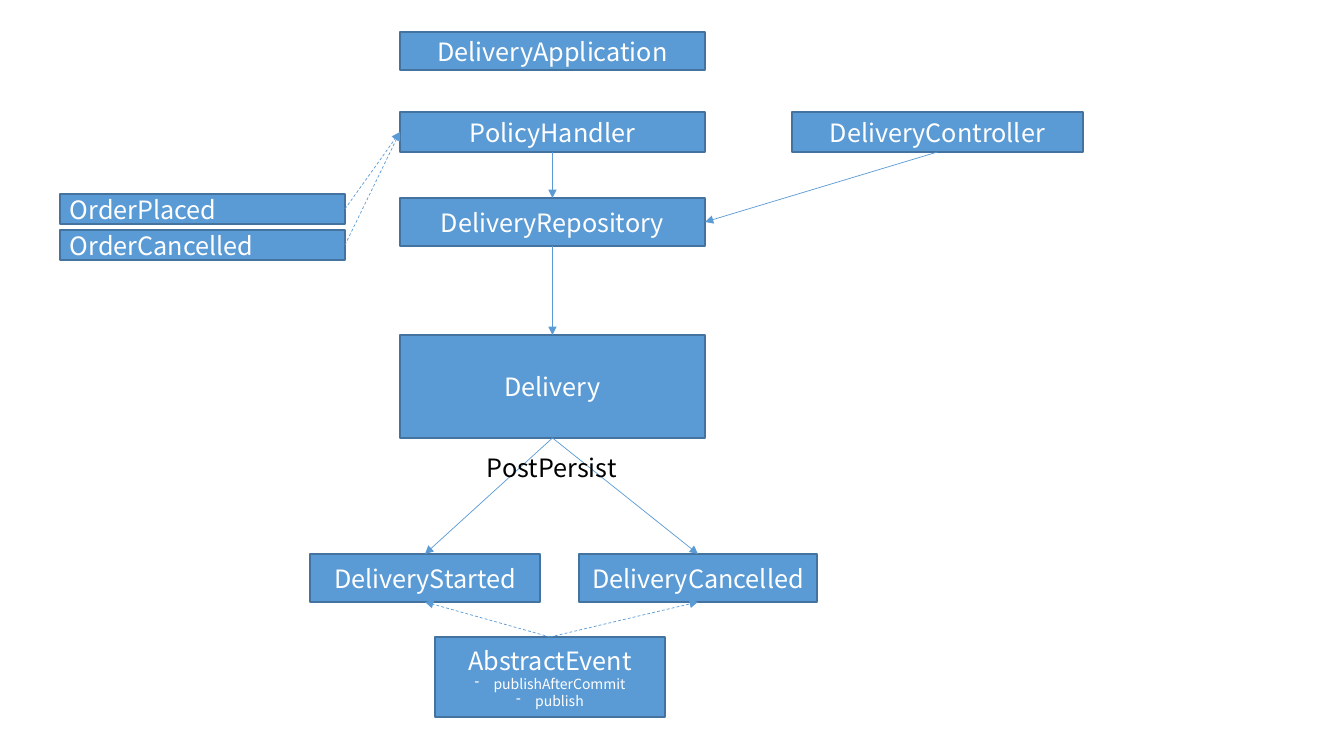
from lxml import etree
from pptx import Presentation
from pptx import util as u
from pptx.dml.color import RGBColor
from pptx.enum import dml, shapes, text
from pptx.oxml.ns import qn

PX = 914400 / 100.8
TOP, LEFT, BOTTOM, RIGHT = range(4)


class Theme:
    font = "Noto Sans CJK KR"
    fill = RGBColor.from_string("5B9BD5")
    edge = RGBColor.from_string("43739E")
    light = RGBColor.from_string("FFFFFF")
    dark = RGBColor.from_string("000000")
    title, detail = 18, 10
    border, arrow = 1, 0.5


SLIDE = (1344, 756)
CORE_LEFT, CORE_WIDTH = 400, 305
EVENT_LEFT, EVENT_WIDTH = 60, 285

# name: left, top, width, height
CLASSES = {
    "DeliveryApplication": (CORE_LEFT, 32, CORE_WIDTH, 38),
    "PolicyHandler": (CORE_LEFT, 112, CORE_WIDTH, 40),
    "DeliveryController": (792, 112, 291, 40),
    "DeliveryRepository": (CORE_LEFT, 198, CORE_WIDTH, 48),
    "Delivery": (CORE_LEFT, 335, CORE_WIDTH, 103),
    "DeliveryStarted": (310, 554, 230, 48),
    "DeliveryCancelled": (579, 554, 238, 48),
    "AbstractEvent": (435, 637, 230, 80),
    "OrderPlaced": (EVENT_LEFT, 194, EVENT_WIDTH, 30),
    "OrderCancelled": (EVENT_LEFT, 230, EVENT_WIDTH, 30),
}
LEFT_ALIGNED = ("OrderPlaced", "OrderCancelled")
METHODS = {"AbstractEvent": ["publishAfterCommit", "publish"]}

# start, start side, end, end side, dashed
ARROWS = [
    ("PolicyHandler", BOTTOM, "DeliveryRepository", TOP, False),
    ("DeliveryController", BOTTOM, "DeliveryRepository", RIGHT, False),
    ("DeliveryRepository", BOTTOM, "Delivery", TOP, False),
    ("Delivery", BOTTOM, "DeliveryStarted", TOP, False),
    ("Delivery", BOTTOM, "DeliveryCancelled", TOP, False),
    ("AbstractEvent", TOP, "DeliveryStarted", BOTTOM, True),
    ("AbstractEvent", TOP, "DeliveryCancelled", BOTTOM, True),
    ("OrderPlaced", RIGHT, "PolicyHandler", LEFT, True),
    ("OrderCancelled", RIGHT, "PolicyHandler", LEFT, True),
]
HOOK, HOOK_AREA = "PostPersist", (477, 447, 151, 41)
BULLET_INDENT = 19


def px(length):
    return u.Emu(round(length * PX))


def style(para, size, color, align):
    para.alignment = align
    for span in para.runs:
        span.font.name = Theme.font
        span.font.size = u.Pt(size)
        span.font.color.rgb = color


def add_dash_bullet(para):
    props = para._p.get_or_add_pPr()
    props.set("marL", str(px(BULLET_INDENT)))
    props.set("indent", str(-px(BULLET_INDENT)))
    etree.SubElement(props, qn("a:buChar"), char="-")


def add_class(page, name, area):
    box = page.shapes.add_shape(shapes.MSO_SHAPE.RECTANGLE, *map(px, area))
    box.shadow.inherit = False
    box.fill.solid()
    box.fill.fore_color.rgb = Theme.fill
    box.line.color.rgb = Theme.edge
    box.line.width = u.Pt(Theme.border)
    frame = box.text_frame
    frame.vertical_anchor = text.MSO_ANCHOR.MIDDLE
    frame.text = name
    align = text.PP_ALIGN.LEFT if name in LEFT_ALIGNED else text.PP_ALIGN.CENTER
    style(frame.paragraphs[0], Theme.title, Theme.light, align)
    for method in METHODS.get(name, []):
        para = frame.add_paragraph()
        para.text = method
        style(para, Theme.detail, Theme.light, align)
        add_dash_bullet(para)
    return box


def add_arrow(page, start, start_side, end, end_side, dashed):
    arrow = page.shapes.add_connector(shapes.MSO_CONNECTOR.STRAIGHT, 0, 0, 0, 0)
    arrow.begin_connect(start, start_side)
    arrow.end_connect(end, end_side)
    arrow.line.color.rgb = Theme.fill
    arrow.line.width = u.Pt(Theme.arrow)
    if dashed:
        arrow.line.dash_style = dml.MSO_LINE.DASH
    etree.SubElement(arrow.line._get_or_add_ln(), qn("a:tailEnd"), type="triangle")
    etree.SubElement(arrow._element.spPr, qn("a:effectLst"))


def main():
    deck = Presentation()
    deck.slide_width, deck.slide_height = map(px, SLIDE)
    page = deck.slides.add_slide(deck.slide_layouts[6])
    boxes = {name: add_class(page, name, area) for name, area in CLASSES.items()}
    for start, start_side, end, end_side, dashed in ARROWS:
        add_arrow(page, boxes[start], start_side, boxes[end], end_side, dashed)

    hook = page.shapes.add_textbox(*map(px, HOOK_AREA)).text_frame
    hook.text = HOOK
    hook.auto_size = text.MSO_AUTO_SIZE.SHAPE_TO_FIT_TEXT
    style(hook.paragraphs[0], Theme.title, Theme.dark, text.PP_ALIGN.LEFT)
    deck.save("out.pptx")


if __name__ == "__main__":
    main()
